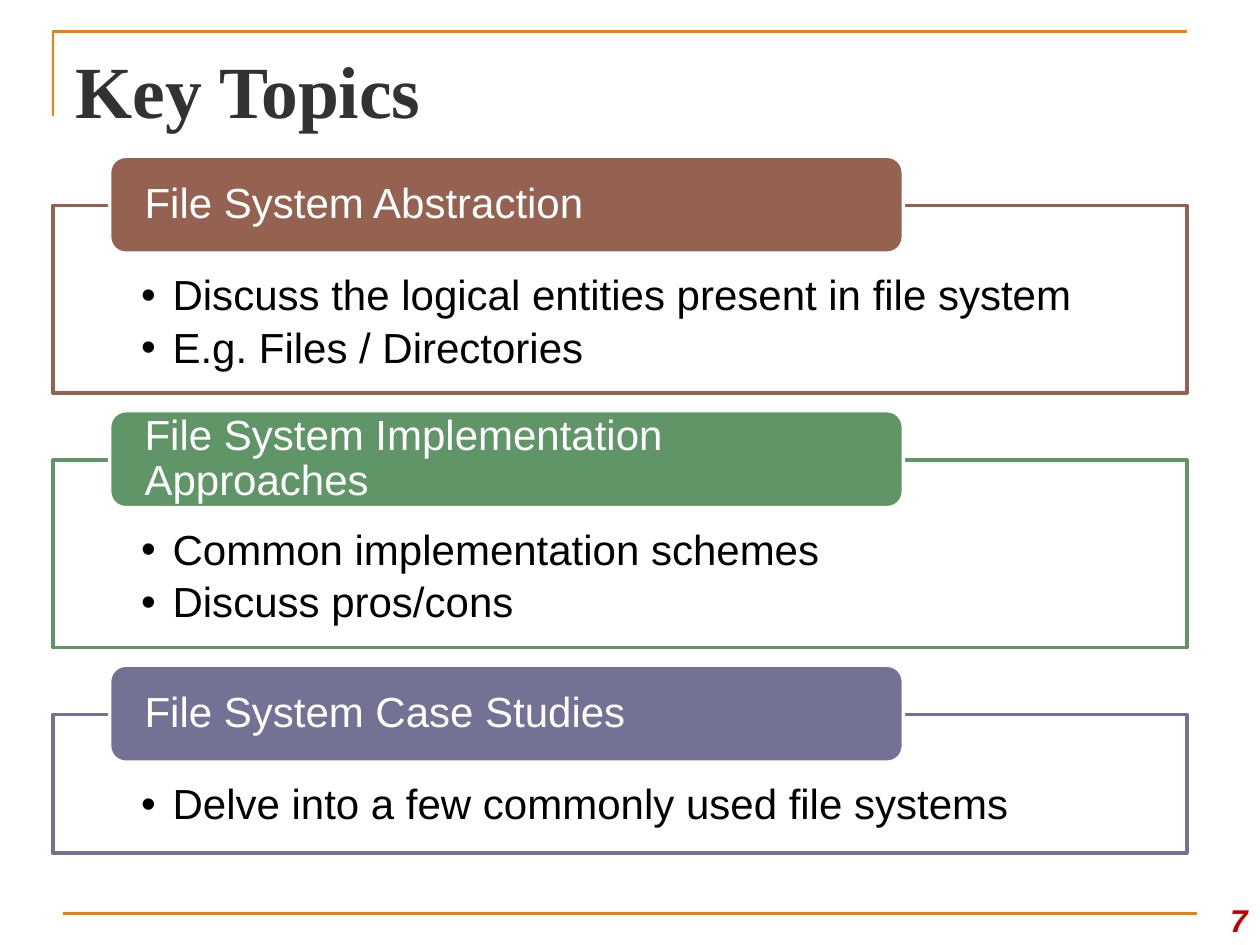
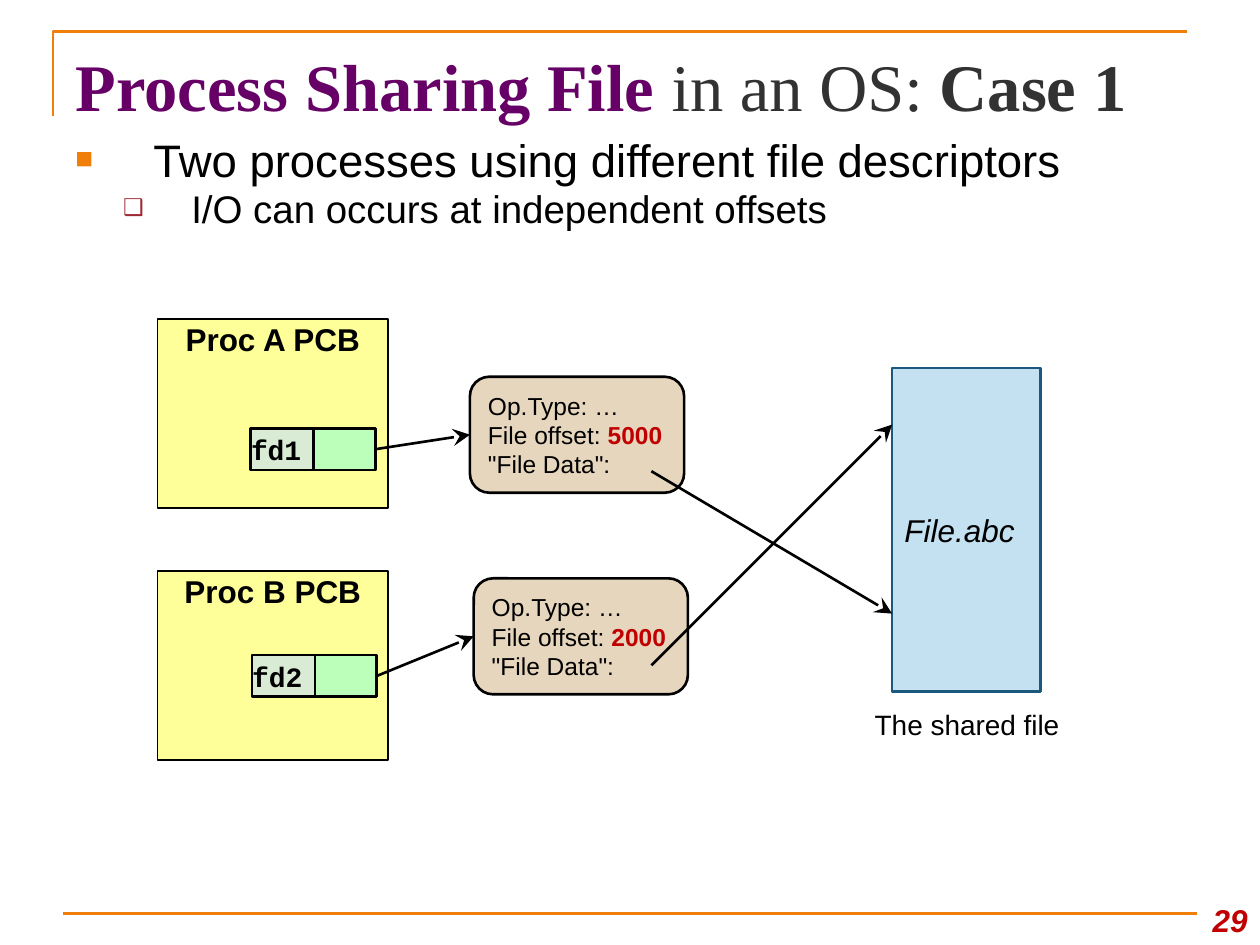
from lxml.etree import SubElement
from pptx import Presentation
from pptx.dml.color import RGBColor
from pptx.enum.shapes import MSO_CONNECTOR, MSO_SHAPE
from pptx.enum.text import MSO_ANCHOR, MSO_AUTO_SIZE, PP_ALIGN
from pptx.oxml.ns import qn
from pptx.util import Inches, Pt

HUES = {
    "black": "000000", "white": "FFFFFF", "ink": "323232", "plum": "660066",
    "orange": "F07F09", "red": "C00000", "wine": "9F2936",
    "brown": "956251", "green": "609568", "slate": "737294",
    "yellow": "FFFF99", "mint": "BBFFBB", "sage": "D9EAD5",
    "sand": "E6D6BD", "sky": "C4E1F2", "navy": "1B587C",
}
COLOR = {name: RGBColor.from_string(code) for name, code in HUES.items()}


def say(par, runs, size, face="Arial", align=PP_ALIGN.LEFT, mark=None):
    par.alignment = align
    if mark:
        char, hue, scale, left, hang = mark
        props = par._p.get_or_add_pPr()
        props.set("marL", str(Inches(left)))
        props.set("indent", str(-Inches(hang)))
        tint = SubElement(props, qn("a:buClr"))
        SubElement(tint, qn("a:srgbClr")).set("val", HUES[hue])
        SubElement(props, qn("a:buSzPct")).set("val", str(scale * 1000))
        SubElement(props, qn("a:buFont")).set("typeface", "Arial")
        SubElement(props, qn("a:buChar")).set("char", char)
    for text, hue, style in runs:
        run = par.add_run()
        run.text = text
        run.font.name = face
        run.font.size = Pt(size)
        run.font.color.rgb = COLOR[hue]
        run.font.bold = "b" in style
        run.font.italic = "i" in style


def block(slide, area, fill=None, edge="black", width=1.5, kind=MSO_SHAPE.RECTANGLE,
          pads=(0.1, 0.05, 0.1, 0.05), anchor=MSO_ANCHOR.MIDDLE, wrap=True):
    spot = [Inches(n) for n in area]
    if fill:
        shape = slide.shapes.add_shape(kind, *spot)
        shape.shadow.inherit = False
        shape.fill.solid()
        shape.fill.fore_color.rgb = COLOR[fill]
        shape.line.color.rgb = COLOR[edge]
        shape.line.width = Pt(width)
    else:
        shape = slide.shapes.add_textbox(*spot)
    frame = shape.text_frame
    frame.word_wrap = wrap
    frame.vertical_anchor = anchor
    frame.margin_left, frame.margin_top, frame.margin_right, frame.margin_bottom = [
        Inches(n) for n in pads]
    return shape


deck = Presentation()
deck.slide_width, deck.slide_height = Inches(10), Inches(7.5)

heads = [
    ("7", 42, [("Key Topics", "ink", "b")]),
    ("29", 38, [("Process Sharing File ", "plum", "b"), ("in an OS: ", "ink", ""),
                ("Case 1", "ink", "b")]),
]
feet = []
for number, size, runs in heads:
    slide = deck.slides.add_slide(deck.slide_layouts[5])
    title = slide.shapes.title
    title.left, title.top, title.width, title.height = [
        Inches(n) for n in (0.5, 0.3, 9, 0.78)]
    frame = title.text_frame
    frame.word_wrap = True
    frame.auto_size = MSO_AUTO_SIZE.NONE
    frame.vertical_anchor = MSO_ANCHOR.TOP
    frame.margin_top = Inches(0.06)
    say(frame.paragraphs[0], runs, size, "Times New Roman")

    path = slide.shapes.build_freeform(Inches(0.42), Inches(0.92))
    path.add_line_segments([(Inches(0.42), Inches(0.25)), (Inches(9.42), Inches(0.25))],
                           close=False)
    corner = path.convert_to_shape()
    corner.shadow.inherit = False
    corner.fill.background()
    corner.line.color.rgb = COLOR["orange"]
    corner.line.width = Pt(1.5)

    feet.append(slide.shapes.add_connector(
        MSO_CONNECTOR.STRAIGHT, Inches(0.5), Inches(7.25), Inches(9.5), Inches(7.25)))
    page = block(slide, (9.42, 7, 0.58, 0.5), anchor=MSO_ANCHOR.BOTTOM)
    say(page.text_frame.paragraphs[0], [(number, "red", "bi")], 18, align=PP_ALIGN.RIGHT)

topics, share = deck.slides

items = [
    ("File System Abstraction", "brown", 1.49,
     ["Discuss the logical entities present in file system", "E.g. Files / Directories"]),
    ("File System Implementation Approaches", "green", 1.49,
     ["Common implementation schemes", "Discuss pros/cons"]),
    ("File System Case Studies", "slate", 1.1,
     ["Delve into a few commonly used file systems"]),
]
top = 1.63
for head, hue, height, points in items:
    panel = block(topics, (0.42, top, 9, height), "white", hue, 2,
                  pads=(0.7, 0.55, 0.7, 0.19), anchor=MSO_ANCHOR.TOP)
    frame = panel.text_frame
    for i, point in enumerate(points):
        par = frame.add_paragraph() if i else frame.paragraphs[0]
        say(par, [(point, "black", "")], 24, mark=("•", "black", 100, 0.25, 0.25))
        par.line_spacing = 0.9
        par.space_after = Pt(4)
    label = block(topics, (0.87, top - 0.39, 6.3, 0.77), hue, "white", 2,
                  MSO_SHAPE.ROUNDED_RECTANGLE, (0.24, 0, 0.24, 0))
    par = label.text_frame.paragraphs[0]
    say(par, [(head, "white", "")], 24)
    par.line_spacing = 0.9
    top += height + 0.53

body = block(share, (0.5, 1.08, 9, 1), pads=(0.1, 0.05, 0.1, 0.05),
             anchor=MSO_ANCHOR.TOP).text_frame
first, second = body.paragraphs[0], body.add_paragraph()
say(first, [("Two processes using different file descriptors", "black", "")], 26,
    mark=("■", "orange", 65, 0.62, 0.62))
say(second, [("I/O can occurs at independent offsets", "black", "")], 22,
    mark=("❑", "wine", 60, 0.92, 0.54))
first.line_spacing = second.line_spacing = 0.8
second.space_before = Pt(4.5)

disk = block(share, (7.08, 2.92, 1.18, 2.57), "sky", "navy", wrap=False)
say(disk.text_frame.paragraphs[0], [("File.abc", "black", "i")], 18)
note = block(share, (6.83, 5.56, 1.69, 0.37), wrap=False)
say(note.text_frame.paragraphs[0], [("The shared file", "black", "")], 16,
    align=PP_ALIGN.CENTER)

procs = [
    ("Proc A PCB", 2.53, "fd1", 1.99, 3.4, 3.73, 2.99, "5000", 3.74, 4.87),
    ("Proc B PCB", 4.53, "fd2", 2, 5.2, 3.76, 4.59, "2000", 5.28, 3.37),
]
arrows = []
for name, top, key, left, row, x, y, offset, start, end in procs:
    pcb = block(share, (1.25, top, 1.83, 1.5), "yellow", width=1,
                pads=(0.1, 0.01, 0.1, 0.01), anchor=MSO_ANCHOR.TOP)
    say(pcb.text_frame.paragraphs[0], [(name, "black", "b")], 18, align=PP_ALIGN.CENTER)
    cell = block(share, (left + 0.49, row, 0.5, 0.33), "mint")
    tag = block(share, (left, row, 0.5, 0.33), "sage", pads=(0, 0.05, 0.1, 0.05), wrap=False)
    say(tag.text_frame.paragraphs[0], [(key, "black", "b")], 16, "Courier New",
        PP_ALIGN.RIGHT)
    entry = block(share, (x, y, 1.7, 0.92), "sand", kind=MSO_SHAPE.ROUNDED_RECTANGLE,
                  wrap=False)
    frame = entry.text_frame
    lines = [
        [("Op.Type: …", "black", "")],
        [("File offset: ", "black", ""), (offset, "red", "b")],
        [("\"File Data\":", "black", "")],
    ]
    for i, runs in enumerate(lines):
        say(frame.add_paragraph() if i else frame.paragraphs[0], runs, 14)
    link = share.shapes.add_connector(MSO_CONNECTOR.STRAIGHT, 0, 0, 0, 0)
    link.begin_connect(cell, 3)
    link.end_connect(entry, 1)
    data = share.shapes.add_connector(
        MSO_CONNECTOR.STRAIGHT, Inches(5.17), Inches(start), Inches(7.08), Inches(end))
    arrows += [link, data]

for hue, group in (("orange", feet), ("black", arrows)):
    for wire in group:
        wire.line.color.rgb = COLOR[hue]
        wire.line.width = Pt(1.5)
        SubElement(wire._element.spPr, qn("a:effectLst"))
for arrow in arrows:
    tip = SubElement(arrow.line._get_or_add_ln(), qn("a:tailEnd"))
    tip.set("type", "stealth")
    tip.set("w", "lg")
    tip.set("len", "lg")

deck.save("out.pptx")
